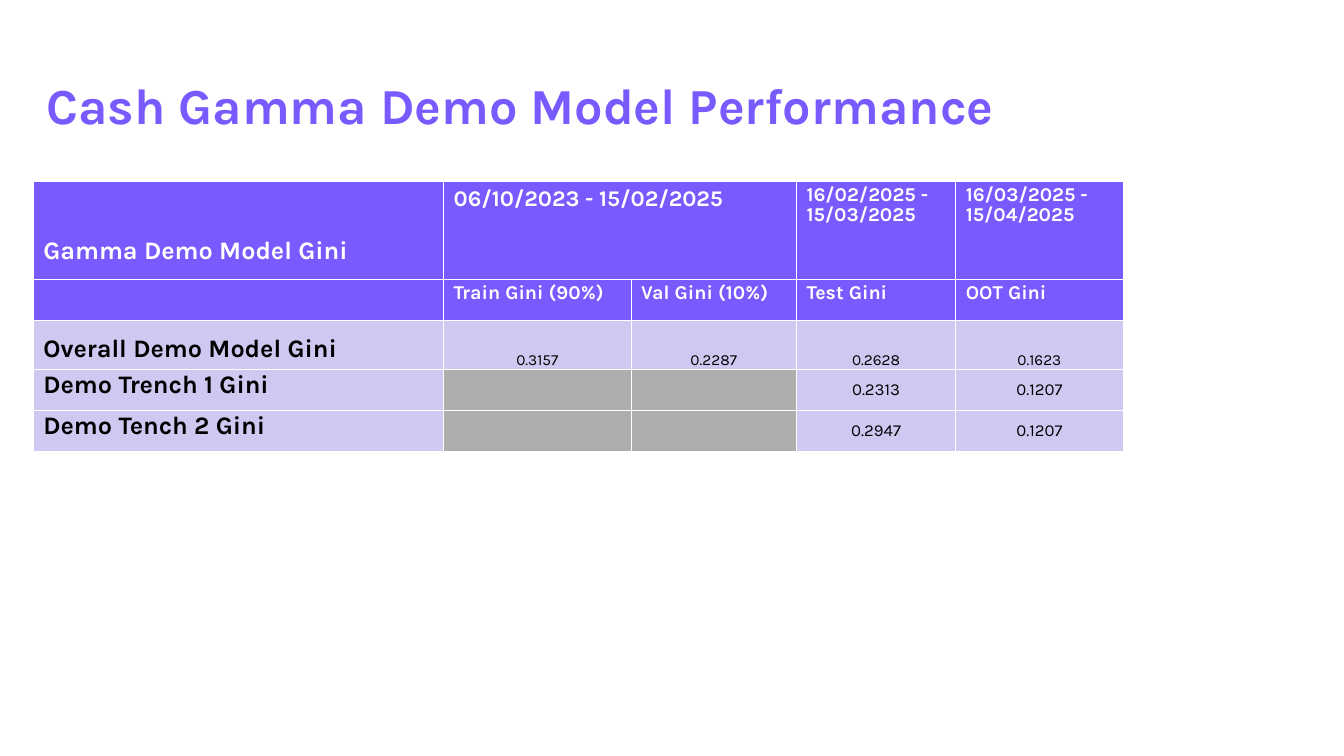
from pptx import Presentation
from pptx.dml.color import RGBColor
from pptx.enum.text import MSO_ANCHOR, MSO_AUTO_SIZE, PP_ALIGN
from pptx.util import Inches, Pt
from lxml.etree import SubElement
from pptx.oxml.ns import qn

VIOLET, LILAC, GREY, WHITE, BLACK = "785AFF", "D0C8F1", "AEAEAE", "FFFFFF", "000000"
TOP, MID, LOW = MSO_ANCHOR.TOP, MSO_ANCHOR.MIDDLE, MSO_ANCHOR.BOTTOM


def color(code):
    return RGBColor.from_string(code)


def write(frame, text, size, ink, bold=True, align=PP_ALIGN.LEFT, line=Pt(14.2)):
    para = frame.paragraphs[0]
    para.alignment = align
    para.line_spacing = line
    run = para.add_run()
    run.text = text
    run.font.name = "Karla"
    run.font.size = Pt(size)
    run.font.bold = bold
    run.font.color.rgb = color(ink)


deck = Presentation()
deck.slide_width, deck.slide_height = Inches(13.33), Inches(7.5)
slide = deck.slides.add_slide(deck.slide_layouts[5])

# Title
title = slide.shapes.title
title.left, title.top = Inches(0.36), Inches(0.69)
title.width, title.height = Inches(9.83), Inches(0.76)
frame = title.text_frame
frame.word_wrap = True
frame.auto_size = MSO_AUTO_SIZE.NONE
frame.vertical_anchor = MID
write(frame, "Cash Gamma Demo Model Performance", 36, VIOLET, line=0.9)

# Table grid
widths = [4.07, 1.86, 1.64, 1.58, 1.66]
heights = [0.97, 0.38, 0.49, 0.38, 0.38]
rows = [
    ["Gamma Demo Model Gini", "06/10/2023 - 15/02/2025", "",
     "16/02/2025 - 15/03/2025", "16/03/2025 - 15/04/2025"],
    ["", "Train Gini (90%)", "Val Gini (10%)", "Test Gini", "OOT Gini"],
    ["Overall Demo Model Gini", "0.3157", "0.2287", "0.2628", "0.1623"],
    ["Demo Trench 1 Gini", "", "", "0.2313", "0.1207"],
    ["Demo Tench 2 Gini", "", "", "0.2947", "0.1207"],
]
table = slide.shapes.add_table(
    len(rows), len(widths), Inches(0.33), Inches(1.8),
    Inches(sum(widths)), Inches(sum(heights))).table
for col, width in zip(table.columns, widths):
    col.width = Inches(width)
for row, height in zip(table.rows, heights):
    row.height = Inches(height)
table.cell(0, 1).merge(table.cell(0, 2))

# Cells
for r, row in enumerate(rows):
    for c, text in enumerate(row):
        cell = table.cell(r, c)
        head = r < 2
        for side in ("a:lnL", "a:lnR", "a:lnT", "a:lnB"):
            edge = SubElement(cell._tc.get_or_add_tcPr(), qn(side), w=str(Pt(0.5)))
            fill = SubElement(edge, qn("a:solidFill"))
            SubElement(fill, qn("a:srgbClr"), val=WHITE)
        cell.fill.solid()
        cell.fill.fore_color.rgb = color(VIOLET if head else LILAC if text else GREY)
        if not text:
            continue
        cell.vertical_anchor = TOP if head else MID
        if c == 0:
            if r == 0:
                cell.margin_bottom = Inches(0.13)
            if r in (0, 2):
                cell.vertical_anchor = LOW
            write(cell.text_frame, text, 18, WHITE if head else BLACK)
        elif head:
            span = cell.is_merge_origin
            write(cell.text_frame, text, 16 if span else 14, WHITE,
                  line=1.0 if span else Pt(14.2))
        elif r == 2:
            cell.vertical_anchor = LOW
            cell.margin_left = cell.margin_right = cell.margin_top = Inches(0.01)
            cell.margin_bottom = 0
            write(cell.text_frame, text, 11, BLACK, False, PP_ALIGN.CENTER, 1.0)
        else:
            write(cell.text_frame, text, 12, BLACK, False, PP_ALIGN.CENTER)

deck.save("out.pptx")
